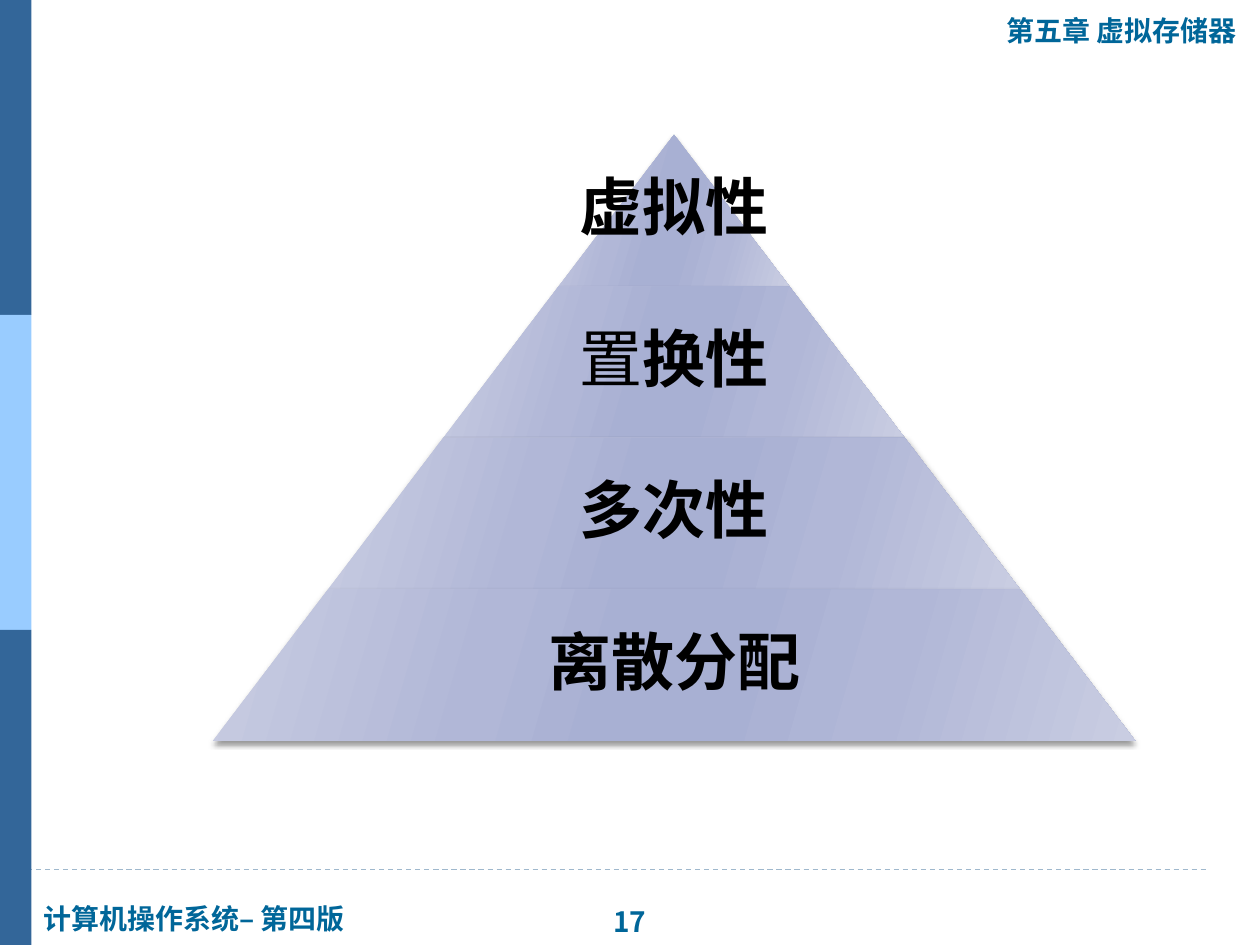
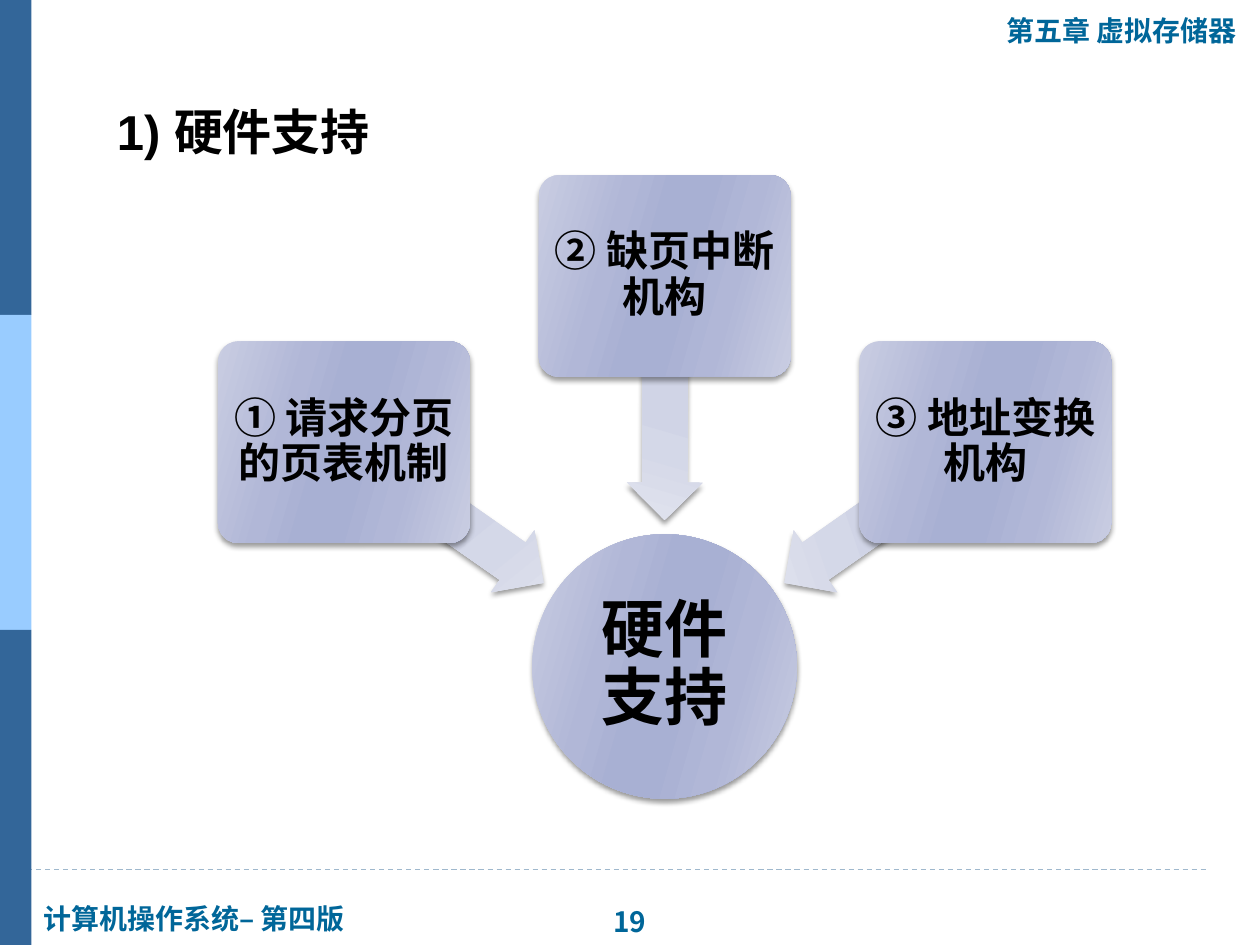
import lxml.etree
import pptx
import pptx.dml.color
import pptx.enum.dml
import pptx.enum.shapes
import pptx.enum.text
import pptx.oxml.ns
import pptx.util

Inches = pptx.util.Inches
SHAPES = pptx.enum.shapes.MSO_SHAPE
ALIGN = pptx.enum.text.PP_ALIGN
ANCHOR = pptx.enum.text.MSO_ANCHOR
qn = pptx.oxml.ns.qn

COLOURS = {
    "band": "336699",
    "band_light": "99CCFF",
    "label": "006699",
    "rule": "9FB8CD",
    "text": "000000",
    "shadow": "000000",
}
STOPS = (0, 30, 45, 55, 73, 100)
GRADIENTS = {
    "block": ("C9CDE2", "B1B7D7", "A8B0D3", "A8B0D3", "B1B7D7", "C9CDE2"),
    "arrow": ("E1E3EE", "D4D8E8", "D0D4E6", "D0D4E6", "D4D8E8", "E1E3EE"),
}


def colour(name):
    """Return the named colour."""
    return pptx.dml.color.RGBColor.from_string(COLOURS[name])


def write_text(frame, text, size=16, font="Arial", color="text", align=ALIGN.LEFT,
               anchor=ANCHOR.TOP, wrap=True, inset=None, spacing=None, plain=0):
    """Write bold text into a frame, leaving the first plain characters regular."""
    frame.word_wrap = wrap
    frame.vertical_anchor = anchor
    if inset is not None:
        frame.margin_left = frame.margin_right = Inches(inset)
        frame.margin_top = frame.margin_bottom = Inches(inset)
    paragraph = frame.paragraphs[0]
    paragraph.alignment = align
    if spacing:
        paragraph.line_spacing = spacing
    for piece, bold in ((text[:plain], False), (text[plain:], True)):
        if piece:
            run = paragraph.add_run()
            run.text = piece
            run.font.size = pptx.util.Pt(size)
            run.font.name = font
            run.font.bold = bold
            run.font.color.rgb = colour(color)


def write_block_text(frame, text, size, inset=0.05, plain=0):
    """Write centred diagram text."""
    write_text(frame, text, size=size, font="Calibri", align=ALIGN.CENTER,
               anchor=ANCHOR.MIDDLE, inset=inset, spacing=0.9, plain=plain)


def add_label(slide, box, text, **text_format):
    """Add a text box at the given box."""
    label = slide.shapes.add_textbox(*map(Inches, box))
    write_text(label.text_frame, text, **text_format)


def add_glossy_shape(slide, kind, box, gradient="block", adjustments=()):
    """Add a borderless shape with a slanted gradient and a soft shadow."""
    shape = slide.shapes.add_shape(kind, *map(Inches, box))
    for index, value in enumerate(adjustments):
        shape.adjustments[index] = value
    shape.line.fill.background()
    shape.fill.gradient()
    shape.fill.gradient_angle = 344
    shape.shadow.inherit = False
    properties = shape._element.spPr
    stop_list = properties.find(qn("a:gradFill")).find(qn("a:gsLst"))
    for stop in list(stop_list):
        stop_list.remove(stop)
    for position, value in zip(STOPS, GRADIENTS[gradient]):
        stop = lxml.etree.SubElement(stop_list, qn("a:gs"), pos=str(position * 1000))
        lxml.etree.SubElement(stop, qn("a:srgbClr"), val=value)
    shadow = lxml.etree.SubElement(
        properties.find(qn("a:effectLst")), qn("a:outerShdw"),
        blurRad=str(pptx.util.Pt(3)), dist=str(pptx.util.Pt(2)),
        dir="5400000", rotWithShape="0")
    shade = lxml.etree.SubElement(shadow, qn("a:srgbClr"), val=COLOURS["shadow"])
    lxml.etree.SubElement(shade, qn("a:alpha"), val="40000")
    return shape


def add_frame(slide, number):
    """Add the side bands, footer rule and labels shared by all slides."""
    rule = slide.shapes.add_connector(
        pptx.enum.shapes.MSO_CONNECTOR.STRAIGHT,
        Inches(0), Inches(6.9), Inches(9.59), Inches(6.9))
    rule.line.color.rgb = colour("rule")
    rule.line.width = pptx.util.Pt(0.75)
    rule.line.dash_style = pptx.enum.dml.MSO_LINE.DASH
    lxml.etree.SubElement(rule._element.spPr, qn("a:effectLst"))
    for index, name in enumerate(("band", "band_light", "band")):
        band = slide.shapes.add_shape(
            SHAPES.RECTANGLE, Inches(0), Inches(2.5 * index), Inches(0.25), Inches(2.5))
        band.shadow.inherit = False
        band.fill.solid()
        band.fill.fore_color.rgb = colour(name)
        band.line.fill.background()
    label_format = {"color": "label", "wrap": False}
    add_label(slide, (0.25, 7.11, 2.65, 0.37), "计算机操作系统– 第四版", **label_format)
    add_label(slide, (4.73, 7.13, 0.54, 0.37), str(number), font="Noto Sans CJK JP",
              align=ALIGN.CENTER, **label_format)
    add_label(slide, (7.89, 0.06, 2.07, 0.37), "第五章 虚拟存储器", **label_format)


def add_pyramid(slide, box, levels):
    """Stack captioned trapezoids into a pyramid that fills the box."""
    left, top, width, height = box
    level_height = height / len(levels)
    slope = width / 2 / height
    for index, (caption, plain) in enumerate(levels):
        level_width = width * (index + 1) / len(levels)
        level_box = (left + (width - level_width) / 2, top + index * level_height,
                     level_width, level_height)
        add_glossy_shape(slide, SHAPES.TRAPEZOID, level_box, adjustments=(slope,))
        caption_box = slide.shapes.add_textbox(*map(Inches, level_box))
        write_block_text(caption_box.text_frame, caption, 36, plain=plain)


def add_converging_diagram(slide, box, hub_text, cards):
    """Place a hub at the bottom of the box with three cards pointing at it."""
    left, top, width, height = box
    hub_size, card_width, card_height = 2.1, 2, 1.6
    arrow_width, arrow_height = 1.94, 0.6
    hub_box = (left + (width - hub_size) / 2, top + height - hub_size, hub_size, hub_size)
    hub = add_glossy_shape(slide, SHAPES.OVAL, hub_box)
    write_block_text(hub.text_frame, hub_text, 36, inset=0.03)
    side_drop = 1.32
    places = (
        (0, side_drop, 0.82, 2.38, 215),
        ((width - card_width) / 2, 0, 2.58, 1.47, 270.3),
        (width - card_width, side_drop, 4.32, 2.38, 325),
    )
    for text, (card_x, card_y, arrow_x, arrow_y, rotation) in zip(cards, places):
        arrow = add_glossy_shape(
            slide, SHAPES.LEFT_ARROW,
            (left + arrow_x, top + arrow_y, arrow_width, arrow_height),
            gradient="arrow", adjustments=(0.6, 0.5))
        arrow.rotation = rotation
        card = add_glossy_shape(
            slide, SHAPES.ROUNDED_RECTANGLE,
            (left + card_x, top + card_y, card_width, card_height), adjustments=(0.1,))
        write_block_text(card.text_frame, text, 24)


def build_features_slide(slide):
    """Build the pyramid of virtual memory features."""
    add_frame(slide, 17)
    add_pyramid(slide, (1.69, 1.07, 7.32, 4.81),
                (("虚拟性", 0), ("置换性", 1), ("多次性", 0), ("离散分配", 0)))


def build_hardware_slide(slide):
    """Build the diagram of hardware support."""
    add_frame(slide, 19)
    add_converging_diagram(
        slide, (1.73, 1.39, 7.09, 4.95), "硬件支持",
        ("① 请求分页的页表机制", "② 缺页中断机构", "③ 地址变换机构"))
    add_label(slide, (0.83, 0.76, 5, 0.57), "1) 硬件支持", size=28)


def main():
    """Build and save the presentation."""
    presentation = pptx.Presentation()
    presentation.slide_width = Inches(10)
    presentation.slide_height = Inches(7.5)
    for build in (build_features_slide, build_hardware_slide):
        build(presentation.slides.add_slide(presentation.slide_layouts[6]))
    presentation.save("out.pptx")


if __name__ == "__main__":
    main()
